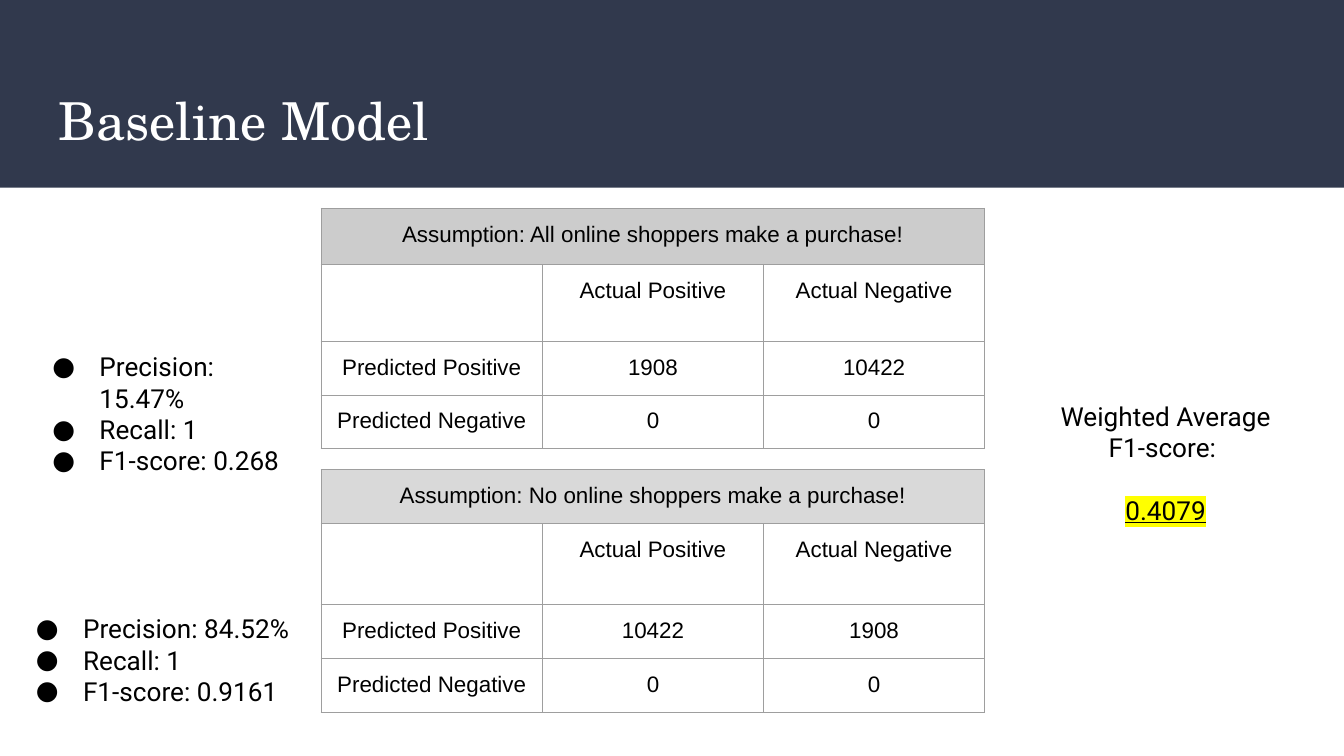
import pptx
import pptx.util
import pptx.dml.color
import pptx.enum.shapes
import pptx.enum.text
import pptx.oxml
import pptx.oxml.ns

Cm, Pt = pptx.util.Cm, pptx.util.Pt
ALIGN = pptx.enum.text.PP_ALIGN
ANCHOR = pptx.enum.text.MSO_ANCHOR
HUES = {"navy": "31394D", "white": "FFFFFF", "black": "000000", "line": "9E9E9E",
        "gray": "CCCCCC", "pale": "D9D9D9", "mark": "FFFF00"}
PAD = {f"margin_{side}": Cm(0.25) for side in ("left", "right", "top", "bottom")}
HEAD = {"name": "TeX Gyre Schola", "size": Pt(28)}
BODY = {"name": "Roboto", "size": Pt(14)}
GRID = {"name": "Arial", "size": Pt(12)}


def apply(item, look):
    """Set each attribute in look on item."""
    for key, val in look.items():
        setattr(item, key, val)


def hue(name):
    """Return the named colour."""
    return pptx.dml.color.RGBColor.from_string(HUES[name])


def node(text):
    """Parse an XML fragment in the drawing namespace."""
    head, rest = text.split(" ", 1)
    return pptx.oxml.parse_xml(f"{head} {pptx.oxml.ns.nsdecls('a')} {rest}")


def write(para, text, look, tint="black"):
    """Add a styled run to a paragraph."""
    run = para.add_run()
    run.text = text
    apply(run.font, look)
    run.font.color.rgb = hue(tint)
    return run


def frame(slide, box, anchor=ANCHOR.TOP):
    """Add a wrapped text box and return its frame."""
    body = slide.shapes.add_textbox(*map(Cm, box)).text_frame
    apply(body, {"word_wrap": True, "vertical_anchor": anchor, **PAD})
    return body


def lines(body, texts, look, indent=0):
    """Write one indented paragraph per text and return the runs."""
    runs = []
    for num, text in enumerate(texts):
        para = body.add_paragraph() if num else body.paragraphs[0]
        props = para._p.get_or_add_pPr()
        props.set("marL", str(Cm(1.27)))
        props.set("indent", str(Cm(indent)))
        apply(para, look)
        runs.append(write(para, text, BODY))
    return runs


def banner(slide, box):
    """Draw the title band with its heading."""
    left, top, wide, high = box
    band = slide.shapes.add_shape(pptx.enum.shapes.MSO_SHAPE.RECTANGLE, *map(Cm, box))
    band.shadow.inherit = False
    band.fill.solid()
    band.fill.fore_color.rgb = hue("navy")
    band.line.fill.background()
    body = frame(slide, (left + 0.86, top + 1.4, wide - 1.73, high - 1.83), ANCHOR.MIDDLE)
    write(body.paragraphs[0], "Baseline Model", HEAD, "white")


def bullets(slide, box, texts):
    """Place a bulleted list of scores."""
    body = frame(slide, box)
    lines(body, texts, {"alignment": ALIGN.LEFT}, -0.89)
    for para in body.paragraphs:
        props = para._p.get_or_add_pPr()
        props.append(node(f'<a:buClr ><a:srgbClr val="{HUES["black"]}"/></a:buClr>'))
        props.append(node('<a:buFont typeface="Roboto"/>'))
        props.append(node('<a:buChar char="●"/>'))


def paint(cell, tint):
    """Give a cell its borders, padding and fill."""
    props = cell._tc.get_or_add_tcPr()
    for side in "LRTB":
        props.append(node(f'<a:ln{side} w="{Pt(0.75)}"><a:solidFill><a:srgbClr '
                          f'val="{HUES["line"]}"/></a:solidFill></a:ln{side}>'))
    apply(cell, {**PAD, "vertical_anchor": ANCHOR.TOP})
    if tint:
        cell.fill.solid()
        cell.fill.fore_color.rgb = hue(tint)
    else:
        cell.fill.background()


def matrix(slide, box, highs, tint, guess, counts):
    """Build a confusion matrix under its assumption."""
    rows = [[f"Assumption: {guess} online shoppers make a purchase!", "", ""],
            ["", "Actual Positive", "Actual Negative"],
            ["Predicted Positive", *counts],
            ["Predicted Negative", "0", "0"]]
    left, top, wide = box
    table = slide.shapes.add_table(
        4, 3, Cm(left), Cm(top), Cm(wide), Cm(sum(highs))).table
    apply(table, {"first_row": False, "horz_banding": False})
    for col in table.columns:
        col.width = Cm(wide / 3)
    for row, high, texts in zip(table.rows, highs, rows):
        row.height = Cm(high)
        for cell, text in zip(row.cells, texts):
            paint(cell, tint if texts is rows[0] else None)
            if text:
                para = cell.text_frame.paragraphs[0]
                para.alignment = ALIGN.CENTER
                write(para, text, GRID)
    table.cell(0, 0).merge(table.cell(0, 2))


def result(slide, box):
    """Place the weighted score with its highlight."""
    body = frame(slide, box)
    runs = lines(body, ["Weighted Average F1-score: ", "0.4079"],
                 {"alignment": ALIGN.CENTER})
    body.paragraphs[1].space_before = Pt(16.5)
    runs[1].font.underline = True
    props = runs[1]._r.get_or_add_rPr()
    mark = node(f'<a:highlight ><a:srgbClr val="{HUES["mark"]}"/></a:highlight>')
    props.find(pptx.oxml.ns.qn("a:latin")).addprevious(mark)


def main():
    """Build and save the slide."""
    deck = pptx.Presentation()
    apply(deck, {"slide_width": Cm(25.4), "slide_height": Cm(14.29)})
    slide = deck.slides.add_slide(deck.slide_layouts[6])
    banner(slide, (0, 0, 25.4, 3.55))
    matrix(slide, (6.07, 3.94, 12.54), (1.06, 1.46, 0.98, 0.98),
           "gray", "All", ("1908", "10422"))
    matrix(slide, (6.07, 8.88, 12.54), (1.02, 1.53, 1.02, 1.02),
           "pale", "No", ("10422", "1908"))
    bullets(slide, (0.36, 6.38, 5.6, 2.16),
            ("Precision: 15.47%", "Recall: 1", "F1-score: 0.268"))
    bullets(slide, (0.05, 11.33, 6.27, 2.16),
            ("Precision: 84.52%", "Recall: 1", "F1-score: 0.9161"))
    result(slide, (18.26, 7.32, 6.27, 4.85))
    deck.save("out.pptx")


if __name__ == "__main__":
    main()
